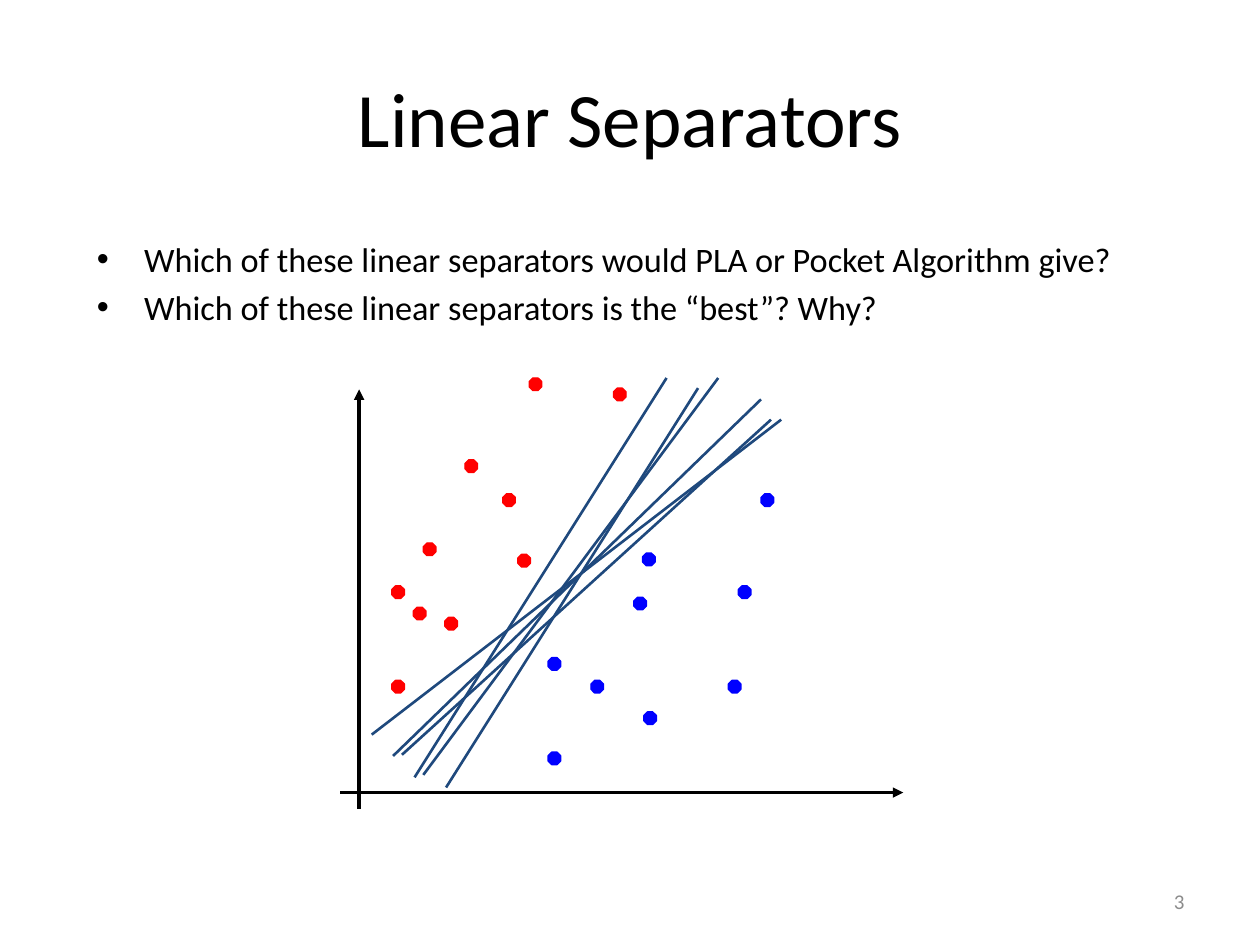
"""Build the Linear Separators slide."""
from dataclasses import dataclass

from pptx import Presentation
from pptx.dml.color import RGBColor
from pptx.enum import shapes, text
from pptx.oxml.ns import qn
from pptx.util import Pt
from lxml import etree

BLACK, RED, BLUE, NAVY, GREY = "000000", "FF0000", "0000FF", "1F497D", "8C8C8C"
DOT_SIZE = 7.2


@dataclass
class Dot:
    left: float
    top: float
    color: str


@dataclass
class Line:
    x1: float
    y1: float
    x2: float
    y2: float
    color: str = NAVY
    width: float = 1.5
    arrow: bool = False


AXES = [
    Line(205.2, 462.2, 205.2, 222.5, BLACK, 2, True),
    Line(194.4, 452.9, 516.2, 452.9, BLACK, 2, True),
]
SEPARATORS = [
    Line(229.7, 431.3, 440.6, 239.8),
    Line(241.9, 442.8, 410.4, 216),
    Line(212.4, 419.8, 446.4, 239.8),
    Line(254.9, 450, 398.9, 221.8),
    Line(236.9, 444.2, 380.9, 216),
    Line(224.6, 432, 434.9, 228.2),
]
POINTS = {
    RED: [(287.3, 282.2), (241.9, 310.3), (254.2, 352.8), (223.9, 388.8),
          (265.7, 262.8), (223.9, 334.8), (236.2, 347), (295.9, 316.8),
          (302.4, 216), (350.6, 221.8)],
    BLUE: [(367.2, 316.1), (337.7, 388.8), (416.2, 388.8), (313.2, 429.8),
           (362.2, 341.3), (313.2, 375.8), (367.9, 406.8), (421.9, 334.8),
           (434.9, 282.2)],
}
DOTS = [Dot(x, y, color) for color, spots in POINTS.items() for x, y in spots]
QUESTIONS = [
    "Which of these linear separators would PLA or Pocket Algorithm give?",
    "Which of these linear separators is the “best”? Why?",
]


def rgb(value: str) -> RGBColor:
    return RGBColor.from_string(value)


def place(s, left: float, top: float, width: float, height: float) -> None:
    s.left, s.top, s.width, s.height = map(Pt, (left, top, width, height))


def write(tf, *lines: str, size: float, color: str = BLACK, align=None,
          anchor=text.MSO_ANCHOR.MIDDLE, gap: float = 0) -> None:
    tf.word_wrap = True
    tf.auto_size = text.MSO_AUTO_SIZE.NONE
    tf.vertical_anchor = anchor
    for i, line in enumerate(lines):
        p = tf.add_paragraph() if i else tf.paragraphs[0]
        p.alignment = align
        p.space_before = Pt(gap if i else 0)
        r = p.add_run()
        r.text = line
        r.font.name, r.font.size = "Calibri", Pt(size)
        r.font.color.rgb = rgb(color)


def draw_line(sp, line: Line) -> None:
    s = sp.add_connector(shapes.MSO_CONNECTOR.STRAIGHT, Pt(line.x1), Pt(line.y1),
                         Pt(line.x2), Pt(line.y2))
    s.line.color.rgb = rgb(line.color)
    s.line.width = Pt(line.width)
    if line.arrow:
        etree.SubElement(s.line._get_or_add_ln(), qn("a:tailEnd"), type="triangle")
    etree.SubElement(s._element.spPr, qn("a:effectLst"))


def draw_dot(sp, dot: Dot) -> None:
    s = sp.add_shape(shapes.MSO_SHAPE.OCTAGON, Pt(dot.left), Pt(dot.top),
                     Pt(DOT_SIZE), Pt(DOT_SIZE))
    s.shadow.inherit = False
    s.fill.solid()
    s.fill.fore_color.rgb = rgb(dot.color)
    s.line.color.rgb = rgb(dot.color)
    s.line.width = Pt(0.75)


def main() -> None:
    prs = Presentation()
    prs.slide_width, prs.slide_height = Pt(720), Pt(540)
    slide = prs.slides.add_slide(prs.slide_layouts[1])
    sp = slide.shapes

    title, body = slide.placeholders
    place(title, 36, 21.6, 648, 90)
    write(title.text_frame, "Linear Separators", size=44, align=text.PP_ALIGN.CENTER)
    place(body, 48.2, 132.5, 648, 51.1)
    write(body.text_frame, *QUESTIONS, size=19.6, anchor=text.MSO_ANCHOR.TOP, gap=3.9)

    for axis in AXES:
        draw_line(sp, axis)
    for dot in DOTS:
        draw_dot(sp, dot)
    for separator in SEPARATORS:
        draw_line(sp, separator)

    number = sp.add_textbox(Pt(516.2), Pt(500.4), Pt(167.8), Pt(28.8))
    write(number.text_frame, "3", size=12, color=GREY, align=text.PP_ALIGN.RIGHT)
    prs.save("out.pptx")


if __name__ == "__main__":
    main()
